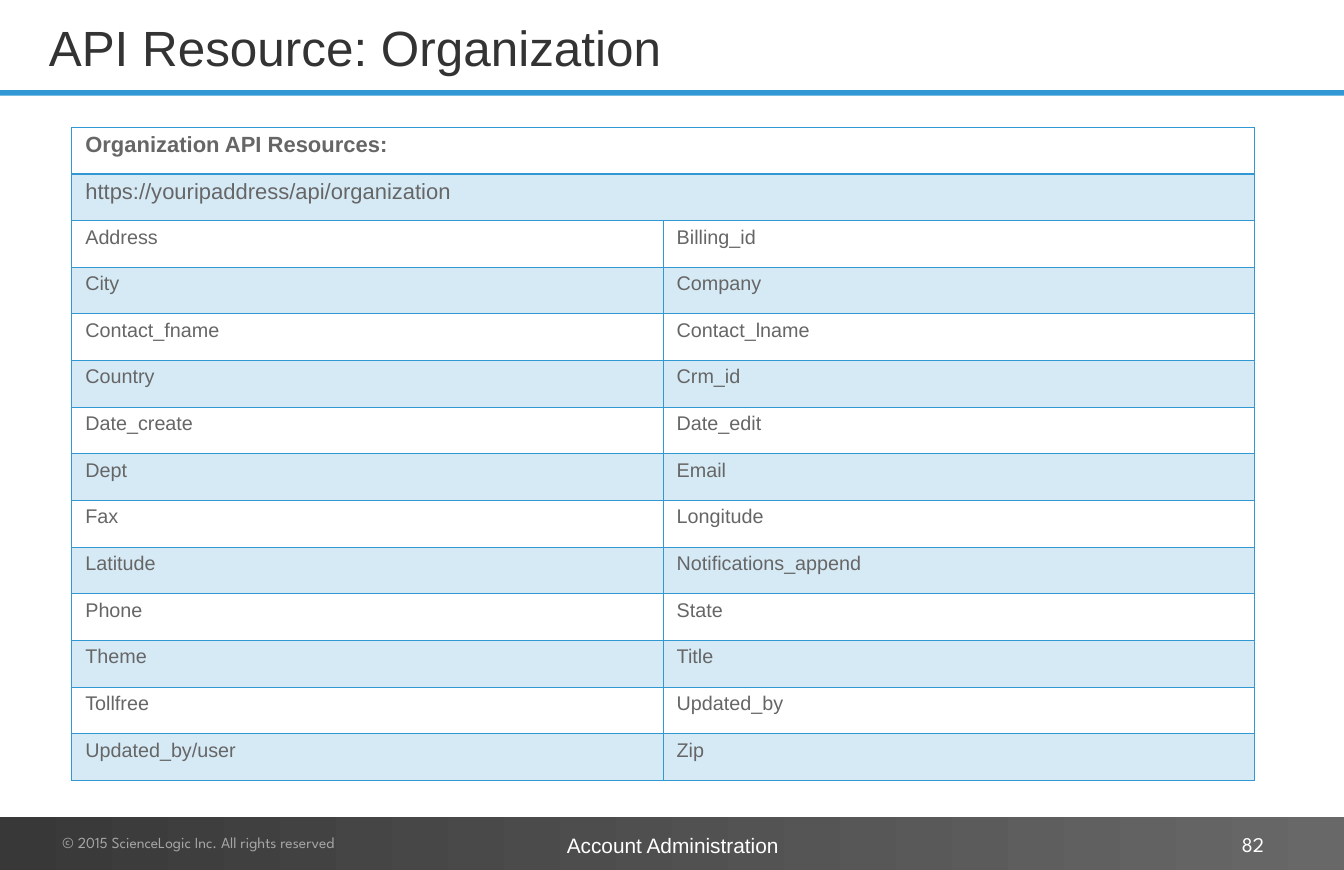
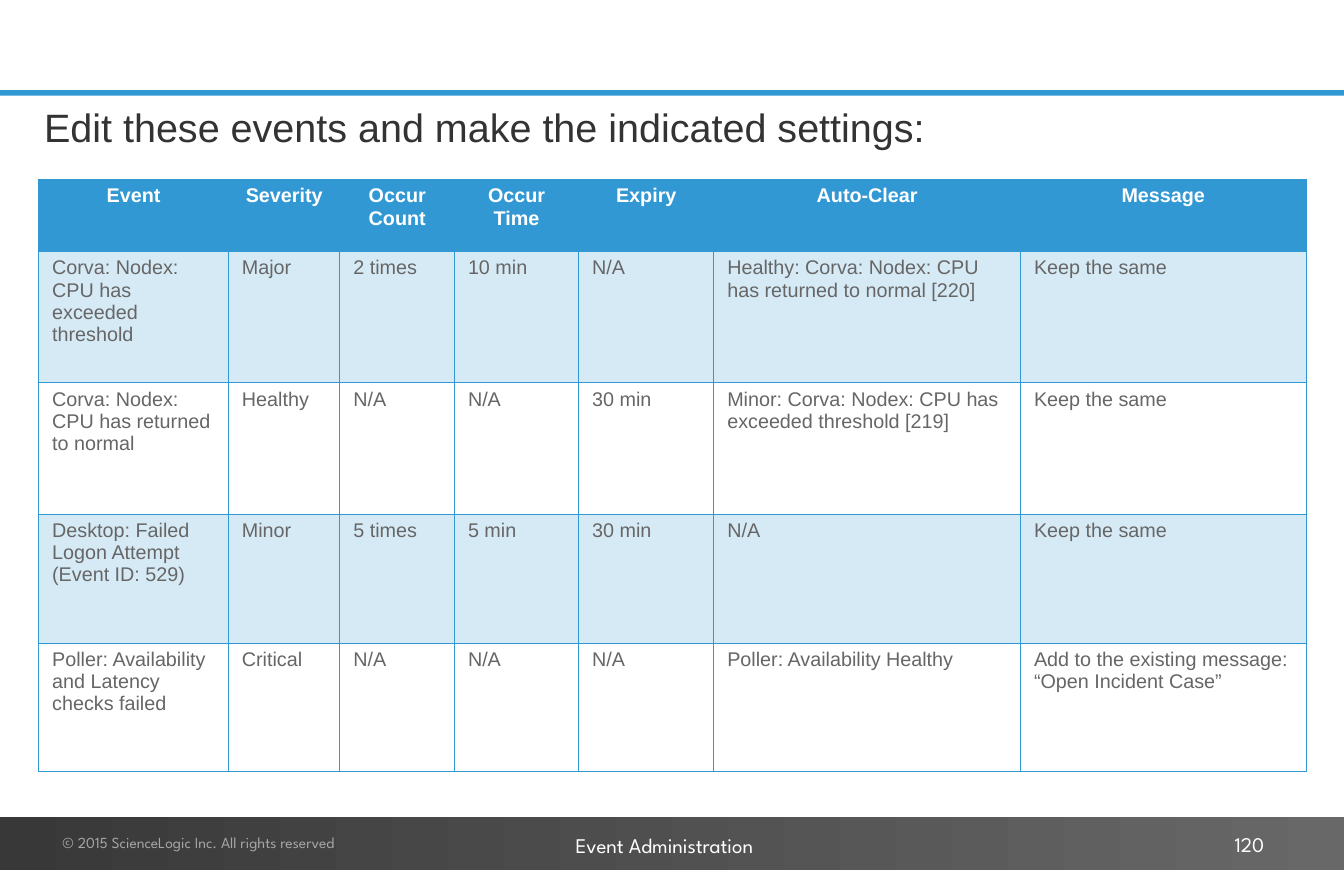
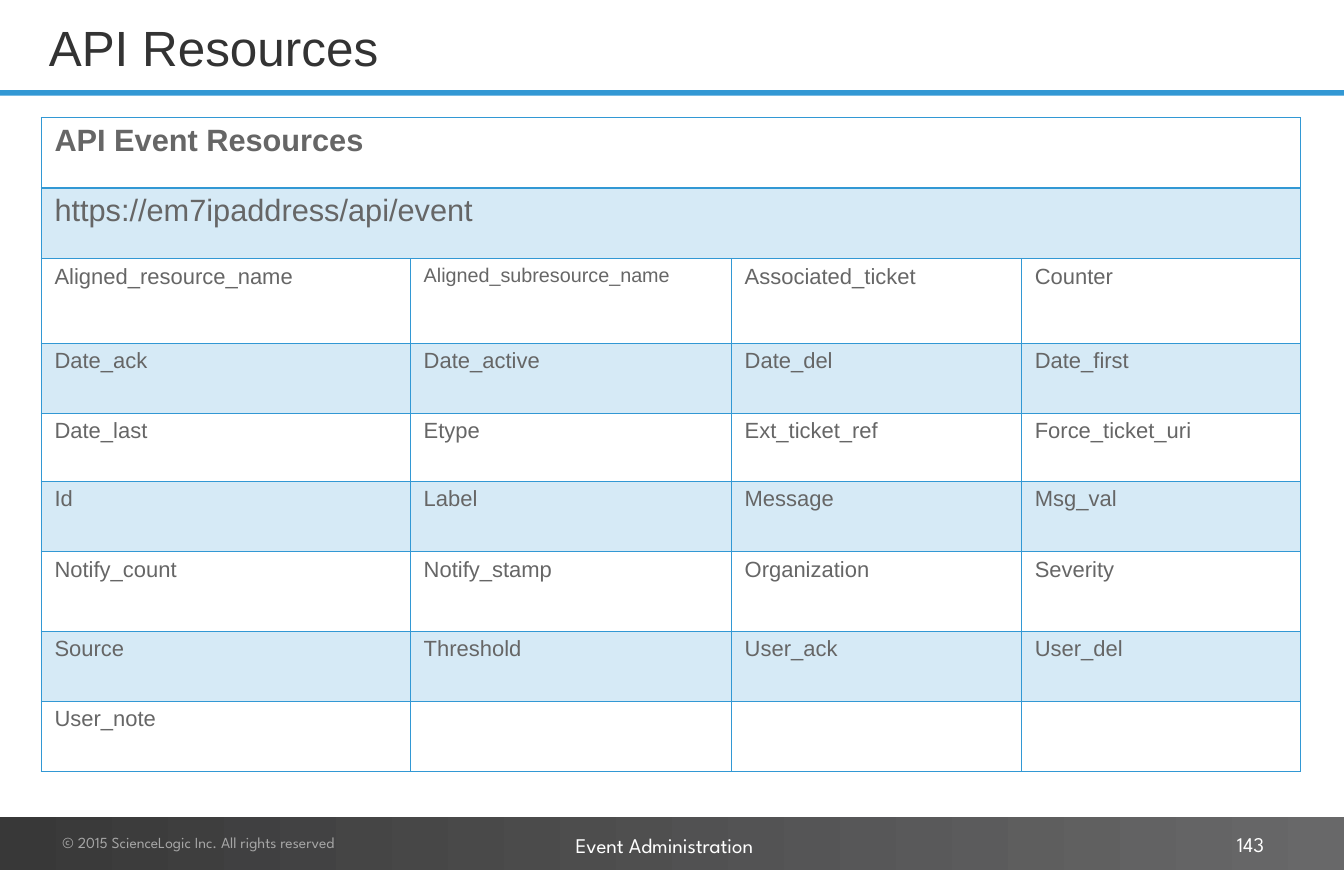
"""Builds three training slides that each hold one bordered table."""
from dataclasses import dataclass

from lxml.etree import SubElement
from pptx import Presentation
from pptx.dml.color import RGBColor as Rgb
from pptx.enum.shapes import MSO_SHAPE as Shape
from pptx.enum.text import MSO_ANCHOR as Anchor, PP_ALIGN as Align
from pptx.oxml.ns import qn
from pptx.util import Inches, Pt


@dataclass(frozen=True)
class Theme:
    blue: str = "3298D4"
    dark: str = "383838"
    mid: str = "686869"
    pale: str = "A6A6A6"
    ink: str = "333333"
    gray: str = "666666"
    white: str = "FFFFFF"
    sans: str = "Arial"
    logo: str = "League Spartan"
    title: int = 45
    lead: int = 36
    foot: int = 19
    legal: int = 14
    body: int = 18


T = Theme()
WIDE, HIGH = 17, 11
PAD = (0.16, 0.08)
CELL = (0.17, 0.07)
RULE = (0, 1.14, WIDE, 0.07)
BAND = (0, 10.33, WIDE, 0.67)
LEGAL = "© 2015 ScienceLogic Inc. All rights reserved"
EVENT = dict(text="Event Administration", box=(7.12, 10.45, 2.76, 0.48), font=T.logo)

SLIDES = [
    dict(
        title="API Resource: Organization", page="82",
        foot=dict(text="Account Administration", box=(6.63, 10.45, 3.76, 0.48),
                  align=Align.CENTER),
        at=(0.91, 1.61), cols=[7.48] * 2, heights=[0.59] * 14, span=20, size=18,
        rows=[
            ["Organization API Resources:"],
            ["https://youripaddress/api/organization"],
            ["Address", "Billing_id"],
            ["City", "Company"],
            ["Contact_fname", "Contact_lname"],
            ["Country", "Crm_id"],
            ["Date_create", "Date_edit"],
            ["Dept", "Email"],
            ["Fax", "Longitude"],
            ["Latitude", "Notifications_append"],
            ["Phone", "State"],
            ["Theme", "Title"],
            ["Tollfree", "Updated_by"],
            ["Updated_by/user", "Zip"],
        ],
    ),
    dict(
        lead="Edit these events and make the indicated settings:", page="120",
        foot=EVENT, at=(0.49, 2.27), cols=[2.4, 1.41, 1.45, 1.57, 1.71, 3.88, 3.61],
        heights=[0.91, 1.66, 1.66, 1.63, 1.63], size=18, solid=True,
        rows=[
            ["Event", "Severity", "Occur\nCount", "Occur\nTime", "Expiry",
             "Auto-Clear", "Message"],
            ["Corva: Nodex: CPU has exceeded threshold", "Major", "2 times", "10 min",
             "N/A", "Healthy: Corva: Nodex: CPU has returned to normal [220]",
             "Keep the same"],
            ["Corva: Nodex: CPU has returned to normal", "Healthy", "N/A", "N/A",
             "30 min", "Minor: Corva: Nodex: CPU has exceeded threshold [219]",
             "Keep the same"],
            ["Desktop: Failed Logon Attempt (Event ID: 529)", "Minor", "5 times",
             "5 min", "30 min", "N/A", "Keep the same"],
            ["Poller: Availability and Latency checks failed", "Critical", "N/A",
             "N/A", "N/A", "Poller: Availability Healthy",
             "Add to the existing message: “Open Incident Case”"],
        ],
    ),
    dict(
        title="API Resources", page="143", foot=EVENT,
        at=(0.52, 1.49), cols=[4.67, 4.06, 3.67, 3.53],
        heights=[0.89, 0.89, 1.07, 0.89, 0.86, 0.89, 1, 0.89, 0.89],
        span=28, size=20, small="Aligned_subresource_name",
        rows=[
            ["API Event Resources"],
            ["https://em7ipaddress/api/event"],
            ["Aligned_resource_name", "Aligned_subresource_name",
             "Associated_ticket", "Counter"],
            ["Date_ack", "Date_active", "Date_del", "Date_first"],
            ["Date_last", "Etype", "Ext_ticket_ref", "Force_ticket_uri"],
            ["Id", "Label", "Message", "Msg_val"],
            ["Notify_count", "Notify_stamp", "Organization", "Severity"],
            ["Source", "Threshold", "User_ack", "User_del"],
            ["User_note", "", "", ""],
        ],
    ),
]


def write(frame, text, size=T.body, color=T.gray, font=T.sans, bold=False,
          align=Align.LEFT):
    frame.text = text
    for para in frame.paragraphs:
        para.alignment = align
        for run in para.runs:
            run.font.size, run.font.name, run.font.bold = Pt(size), font, bold
            run.font.color.rgb = Rgb.from_string(color)


def pad(part, inset):
    part.margin_left = part.margin_right = Inches(inset[0])
    part.margin_top = part.margin_bottom = Inches(inset[1])


def label(slide, text, box, inset=PAD, anchor=Anchor.TOP, **style):
    frame = slide.shapes.add_textbox(*map(Inches, box)).text_frame
    frame.word_wrap = True
    frame.vertical_anchor = anchor
    pad(frame, inset)
    write(frame, text, **style)


def bar(slide, box, *colors):
    shape = slide.shapes.add_shape(Shape.RECTANGLE, *map(Inches, box))
    shape.shadow.inherit = False
    shape.line.fill.background()
    if len(colors) == 1:
        shape.fill.solid()
        shape.fill.fore_color.rgb = Rgb.from_string(colors[0])
        return
    shape.fill.gradient()
    shape.fill.gradient_angle = 0
    for stop, color in zip(shape.fill.gradient_stops, colors):
        stop.color.rgb = Rgb.from_string(color)


def frame_cell(cell, row):
    props = cell._tc.get_or_add_tcPr()
    thick = {"T": 2 if row == 1 else 1, "B": 2 if row == 0 else 1}
    for spot, side in enumerate("LRTB"):
        line = SubElement(props, qn(f"a:ln{side}"), w=str(Pt(thick.get(side, 1))))
        fill = SubElement(line, qn("a:solidFill"))
        SubElement(fill, qn("a:srgbClr"), val=T.blue)
        props.insert(spot, line)


def paint(cell, row, solid):
    if row % 2 == 0 and not solid:
        cell.fill.background()
        return
    cell.fill.solid()
    cell.fill.fore_color.rgb = Rgb.from_string(T.blue)
    if not solid:
        tint = cell._tc.tcPr.find(f".//{qn('a:srgbClr')}")
        SubElement(tint, qn("a:alpha"), val="20000")


def grid(slide, data):
    cols, heights = data["cols"], data["heights"]
    box = (*data["at"], sum(cols), sum(heights))
    table = slide.shapes.add_table(len(heights), len(cols), *map(Inches, box)).table
    table.first_row = table.horz_banding = False
    for col, width in zip(table.columns, cols):
        col.width = Inches(width)
    for r, (texts, height) in enumerate(zip(data["rows"], heights)):
        table.rows[r].height = Inches(height)
        solid = r == 0 and data.get("solid", False)
        merged = len(texts) == 1
        for c in range(len(cols)):
            cell = table.cell(r, c)
            pad(cell, CELL)
            paint(cell, r, solid)
            frame_cell(cell, r)
        for c, text in enumerate(texts):
            size = data["span"] if merged else data["size"]
            if text == data.get("small"):
                size = T.body
            write(table.cell(r, c).text_frame, text, size=size, bold=r == 0,
                  color=T.white if solid else T.gray,
                  align=Align.CENTER if solid else Align.LEFT)
        if merged:
            table.cell(r, 0).merge(table.cell(r, len(cols) - 1))


def build(deck, data):
    slide = deck.slides.add_slide(deck.slide_layouts[6])
    bar(slide, RULE, T.blue)
    bar(slide, BAND, T.dark, T.mid)
    label(slide, LEGAL, (0.63, 10.46, 5, 0.4), size=T.legal, color=T.pale, font=T.logo)
    if "title" in data:
        label(slide, data["title"], (0.52, 0.01, 14.85, 1.17), inset=(0.1, 0.05),
              anchor=Anchor.MIDDLE, size=T.title, color=T.ink)
    if "lead" in data:
        label(slide, data["lead"], (0.46, 1.25, 16.06, 0.71), inset=(0.1, 0.05),
              size=T.lead, color=T.ink)
    label(slide, data["page"], (12.18, 10.46, 3.97, 0.43), anchor=Anchor.MIDDLE,
          size=T.foot, color=T.white, font=T.logo, align=Align.RIGHT)
    grid(slide, data)
    label(slide, **data["foot"], size=T.foot, color=T.white)


def main():
    deck = Presentation()
    deck.slide_width, deck.slide_height = Inches(WIDE), Inches(HIGH)
    for data in SLIDES:
        build(deck, data)
    deck.save("out.pptx")


if __name__ == "__main__":
    main()
